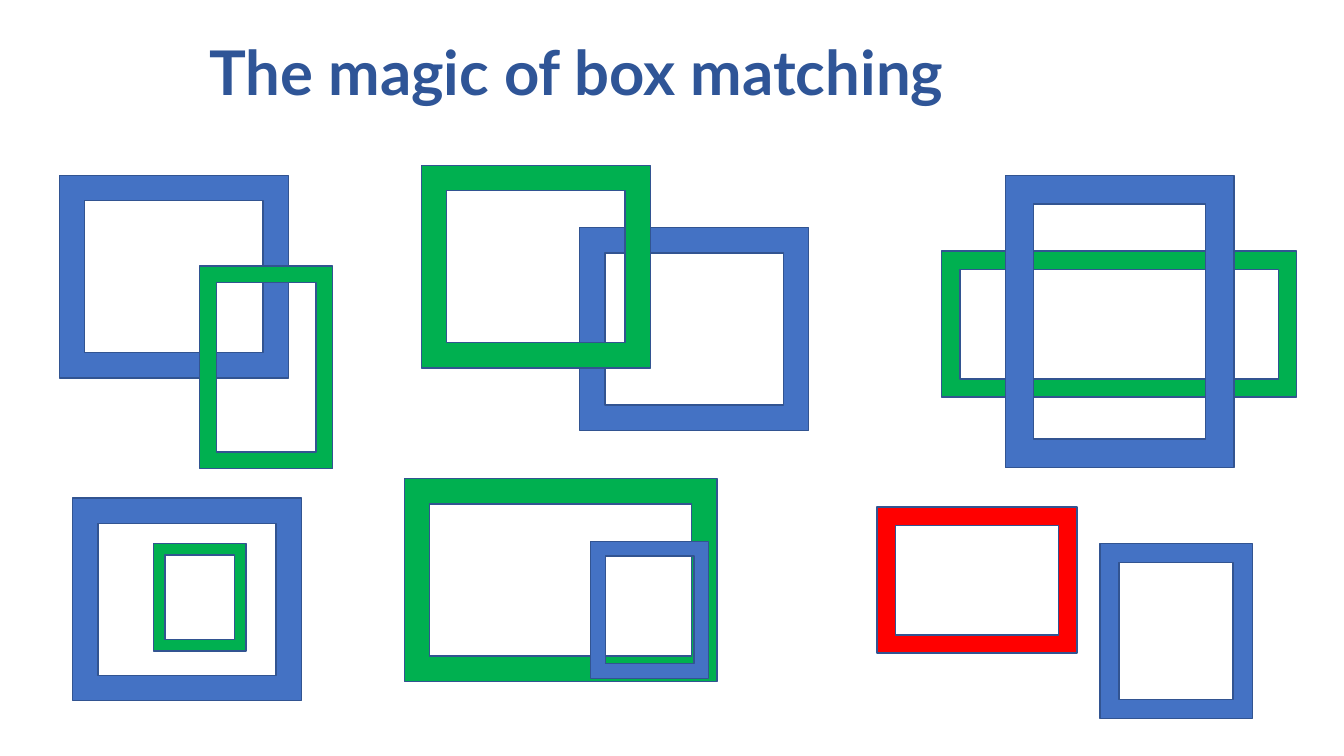
import pptx
import pptx.util
import pptx.dml.color
import pptx.enum.shapes
import pptx.enum.text

Inches = pptx.util.Inches
RGBColor = pptx.dml.color.RGBColor

BLUE = RGBColor(0x44, 0x72, 0xC4)
GREEN = RGBColor(0x00, 0xB0, 0x50)
RED = RGBColor(0xFF, 0x00, 0x00)
OUTLINE = RGBColor(0x32, 0x54, 0x91)
TITLE_BLUE = RGBColor(0x2F, 0x55, 0x97)

# Content: each case pairs two boxes, back one first
# (colour, left, top, width, height) in inches
TITLE = "The magic of box matching"
BOX_PAIRS = {
    "corner overlap": [(BLUE, 0.59, 1.74, 2.27, 2.01), (GREEN, 1.98, 2.64, 1.32, 2.01)],
    "equal sizes": [(BLUE, 5.75, 2.26, 2.27, 2.01), (GREEN, 4.18, 1.64, 2.27, 2.01)],
    "crossing": [(GREEN, 9.34, 2.49, 3.52, 1.45), (BLUE, 9.97, 1.74, 2.27, 2.9)],
    "no overlap": [(RED, 8.7, 5.03, 1.98, 1.45), (BLUE, 10.91, 5.39, 1.51, 1.74)],
    "inside": [(BLUE, 0.72, 4.94, 2.27, 2.01), (GREEN, 1.52, 5.39, 0.92, 1.07)],
    "inside corner": [(GREEN, 4.01, 4.75, 3.1, 2.01), (BLUE, 5.86, 5.37, 1.17, 1.36)],
}


def add_title(slide):
    heading = slide.shapes.add_textbox(Inches(1.98), Inches(0.02), Inches(11.5), Inches(1.45))
    frame = heading.text_frame
    frame.word_wrap = True
    frame.vertical_anchor = pptx.enum.text.MSO_ANCHOR.MIDDLE
    paragraph = frame.paragraphs[0]
    paragraph.line_spacing = 0.9
    run = paragraph.add_run()
    run.text = TITLE
    run.font.name = "Lato"
    run.font.size = pptx.util.Pt(44)
    run.font.bold = True
    run.font.color.rgb = TITLE_BLUE


def add_box(slide, colour, *bounds):
    box = slide.shapes.add_shape(pptx.enum.shapes.MSO_SHAPE.FRAME, *map(Inches, bounds))
    box.shadow.inherit = False
    box.fill.solid()
    box.fill.fore_color.rgb = colour
    box.line.color.rgb = OUTLINE
    box.line.width = pptx.util.Pt(1)


def main():
    deck = pptx.Presentation()
    deck.slide_width, deck.slide_height = Inches(13.33), Inches(7.5)
    slide = deck.slides.add_slide(deck.slide_layouts[6])

    # Heading
    add_title(slide)

    # Box pairs
    for pair in BOX_PAIRS.values():
        for box in pair:
            add_box(slide, *box)

    deck.save("out.pptx")


if __name__ == "__main__":
    main()
